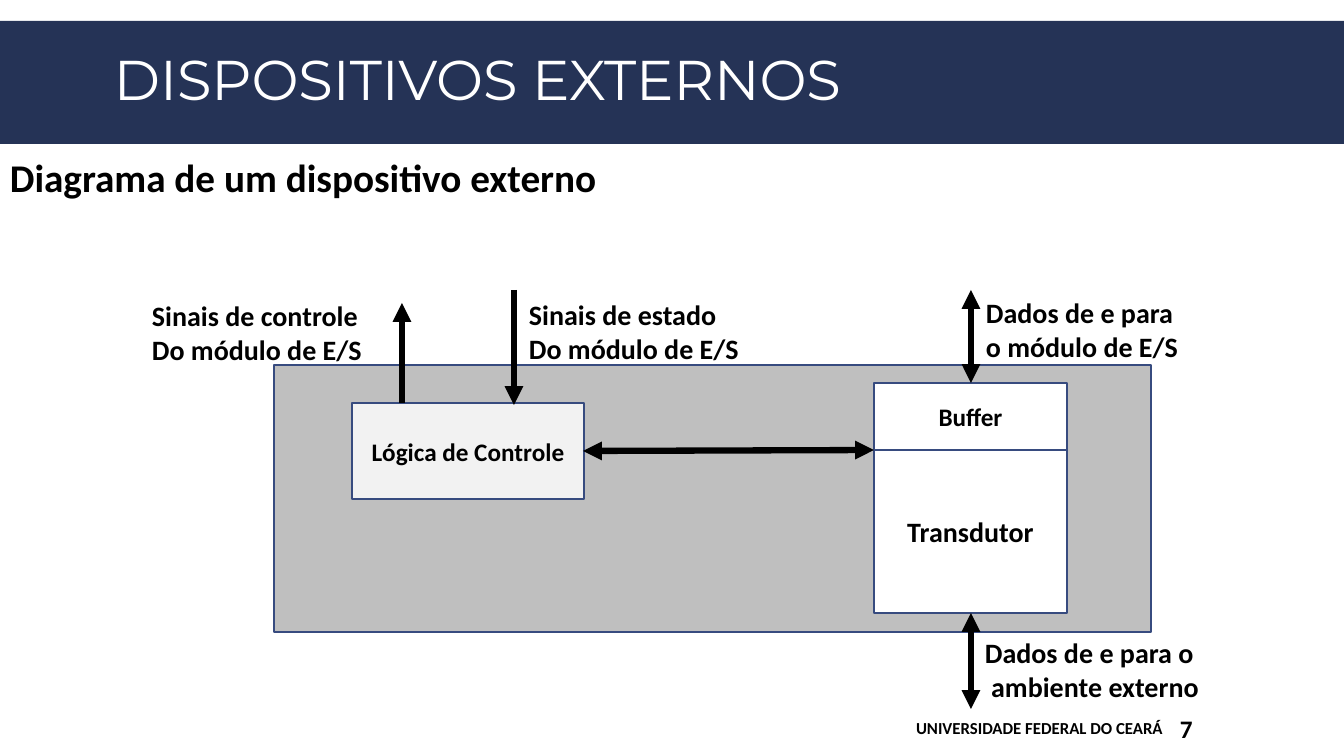
"""Build the slide with the block diagram of an external device."""
from lxml import etree
from pptx import Presentation
from pptx.dml.color import RGBColor
from pptx.enum.shapes import MSO_CONNECTOR as Link, MSO_SHAPE as Form
from pptx.enum.text import MSO_ANCHOR as Anchor, MSO_AUTO_SIZE as Fit, PP_ALIGN as Align
from pptx.oxml.ns import qn
from pptx.util import Pt

SCALE = 914400 / 100.8
SIZE = (1344, 756)
HUES = {"navy": "253356", "edge": "374B7F", "gray": "BFBFBF",
        "pale": "F2F2F2", "white": "FFFFFF", "black": "000000"}

BOXES = [
    ((0, 21, 1344, 123), "navy", None, "", 18),
    ((274, 365, 877, 267), "gray", "edge", "", 18),
    ((352, 403, 232, 96), "pale", "edge", "Lógica de Controle", 18),
    ((874, 450, 193, 163), "white", "edge", "Transdutor", 20),
    ((874, 383, 193, 67), "white", "edge", "Buffer", 18),
]
ARROWS = [
    ((402, 403, 402, 303), ["tailEnd"]),
    ((514, 290, 514, 405), ["tailEnd"]),
    ((971, 290, 971, 383), ["headEnd", "tailEnd"]),
    ((971, 613, 971, 709), ["headEnd", "tailEnd"]),
    ((583, 451, 874, 450), ["headEnd", "tailEnd"]),
]
LABELS = [
    ((142, 294, 243, 78), ["Sinais de controle", "Do módulo de E/S"]),
    ((519, 293, 238, 78), ["Sinais de estado", "Do módulo de E/S"]),
    ((976, 291, 220, 78), ["Dados de e para", "o módulo de E/S"]),
    ((975, 631, 245, 78), ["Dados de e para o", " ambiente externo"]),
]
TITLE = ((104, 25, 1151, 117), ["DISPOSITIVOS EXTERNOS"])
HEAD = ((0, 148, 685, 57), ["Diagrama de um dispositivo externo"])
FOOT = ((617, 708, 556, 40), ["UNIVERSIDADE FEDERAL DO CEARÁ"])
PAGE = ((1175, 708, 104, 40), ["7"])


def px(*nums):
    return [round(n * SCALE) for n in nums]


def tint(name):
    return RGBColor.from_string(HUES[name])


def write(frame, lines, size, hue="black", face="Calibri", bold=True,
          align=Align.LEFT, space=None):
    for i, line in enumerate(lines):
        para = frame.add_paragraph() if i else frame.paragraphs[0]
        para.alignment = align
        if space:
            para.line_spacing = space
        run = para.add_run()
        run.text = line
        look = {"name": face, "size": Pt(size), "bold": bold}
        for key, value in look.items():
            setattr(run.font, key, value)
        run.font.color.rgb = tint(hue)


def add_box(slide, place, fill, edge, text, size):
    box = slide.shapes.add_shape(Form.RECTANGLE, *px(*place))
    box.shadow.inherit = False
    box.fill.solid()
    box.fill.fore_color.rgb = tint(fill)
    if edge:
        box.line.color.rgb = tint(edge)
        box.line.width = Pt(1)
    else:
        box.line.fill.background()
    if text:
        box.text_frame.vertical_anchor = Anchor.MIDDLE
        write(box.text_frame, [text], size, align=Align.CENTER)


def add_arrow(slide, ends, tips):
    arrow = slide.shapes.add_connector(Link.STRAIGHT, *px(*ends))
    arrow.line.color.rgb = tint("black")
    arrow.line.width = Pt(4.5)
    line = arrow.line._get_or_add_ln()
    for tip in tips:
        etree.SubElement(line, qn("a:" + tip), type="triangle")
    etree.SubElement(arrow._element.spPr, qn("a:effectLst"))


def add_text(slide, item, size, frame=None, **look):
    place, lines = item
    box = slide.shapes.add_textbox(*px(*place))
    form = {"word_wrap": True, "vertical_anchor": Anchor.MIDDLE}
    form.update(frame or {})
    for key, value in form.items():
        setattr(box.text_frame, key, value)
    write(box.text_frame, lines, size, **look)


def main():
    deck = Presentation()
    deck.slide_width, deck.slide_height = px(*SIZE)
    slide = deck.slides.add_slide(deck.slide_layouts[6])
    for box in BOXES:
        add_box(slide, *box)
    for arrow in ARROWS:
        add_arrow(slide, *arrow)
    grow = {"vertical_anchor": Anchor.TOP, "auto_size": Fit.SHAPE_TO_FIT_TEXT}
    for label in LABELS:
        add_text(slide, label, 20, {**grow, "word_wrap": False})
    add_text(slide, HEAD, 28, grow)
    add_text(slide, TITLE, 40, hue="white", face="Montserrat", bold=False, space=0.85)
    add_text(slide, FOOT, 12, align=Align.RIGHT)
    add_text(slide, PAGE, 18, {"margin_left": px(5)[0]})
    deck.save("out.pptx")


if __name__ == "__main__":
    main()
